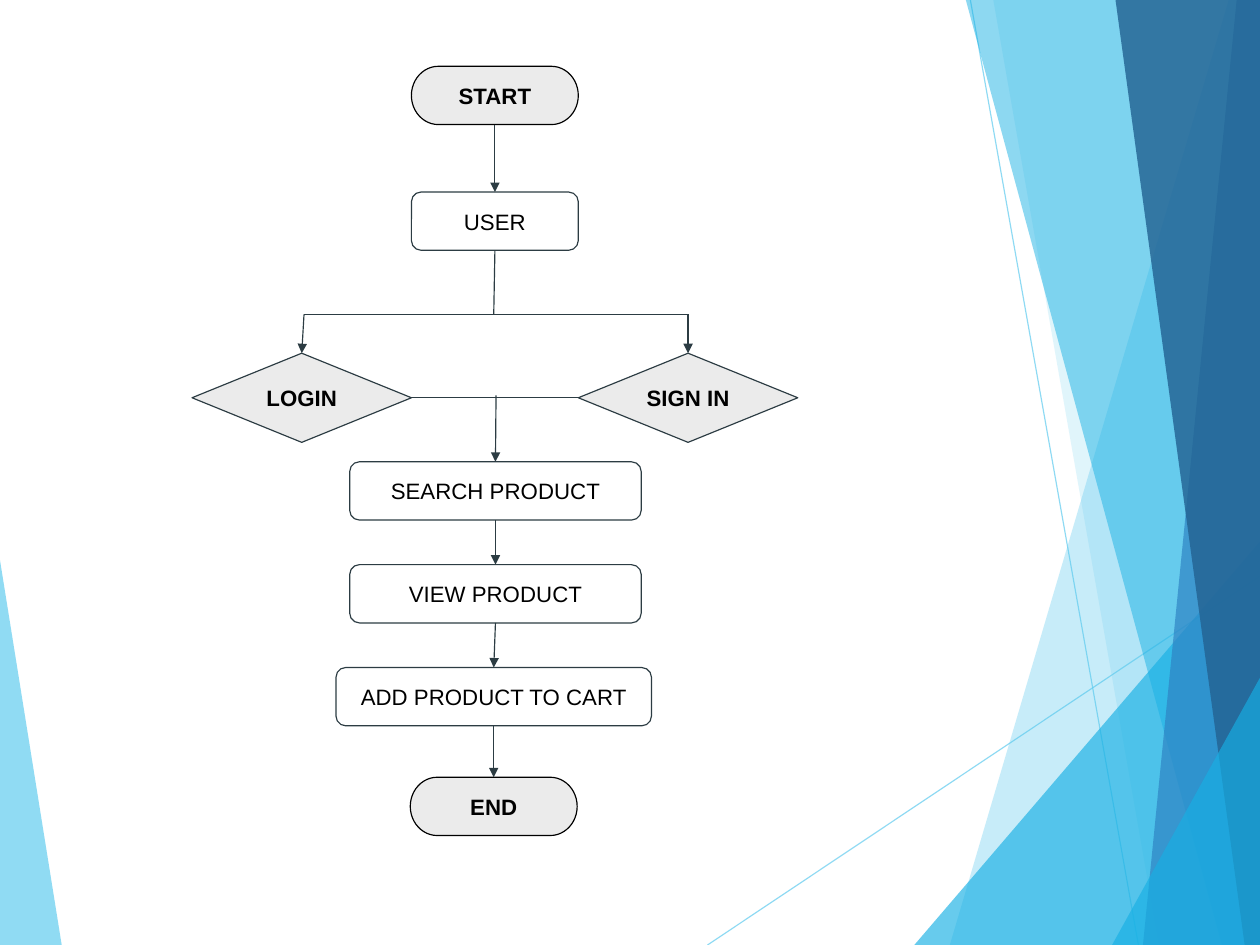
from lxml import etree
from pptx import Presentation
from pptx.dml.color import RGBColor
from pptx.enum.shapes import MSO_CONNECTOR, MSO_SHAPE
from pptx.enum.text import MSO_ANCHOR, PP_ALIGN
from pptx.oxml.ns import qn
from pptx.util import Inches, Pt

LINE = MSO_CONNECTOR.STRAIGHT
BOX = MSO_SHAPE.ROUNDED_RECTANGLE
PILL = MSO_SHAPE.FLOWCHART_TERMINATOR
DIAMOND = MSO_SHAPE.FLOWCHART_DECISION
MIDDLE = MSO_ANCHOR.MIDDLE
CENTER = PP_ALIGN.CENTER
TOP, LEFT, BOTTOM, RIGHT = range(4)

# The slide is 28 by 21 cm
WIDE, HIGH = 28 / 2.54, 21 / 2.54
INK, BLACK, WHITE, GREY = "2C3C43", "000000", "FFFFFF", "EBEBEB"
SKY, CYAN, BLUE, NAVY = "5FCBEF", "17B0E4", "2E83C3", "236292"

# Corner points, colour and opacity in percent, from back to front
FACETS = [
    ([(0, 4.9), (0.54, HIGH), (0, HIGH)], SKY, 69),
    ([(10.75, 0), (8.31, HIGH), (WIDE, HIGH), (WIDE, 0)], SKY, 35),
    ([(8.69, 0), (10.14, HIGH), (WIDE, HIGH), (WIDE, 0)], SKY, 19),
    ([(8, HIGH), (WIDE, 4.74), (WIDE, HIGH)], CYAN, 65),
    ([(8.45, 0), (10.69, HIGH), (WIDE, HIGH), (WIDE, 0)], CYAN, 49),
    ([(10.82, 0), (10, HIGH), (WIDE, HIGH), (WIDE, 0)], BLUE, 69),
    ([(9.76, 0), (10.89, HIGH), (WIDE, HIGH), (WIDE, 0)], NAVY, 81),
    ([(9.73, HIGH), (WIDE, 5.93), (WIDE, HIGH)], CYAN, 65),
]
RAYS = [((6.19, HIGH), (WIDE, 5.04)), ((8.49, 0), (9.96, HIGH))]


def paint(target, color, alpha=100):
    """Colour a fill or a line, see-through when alpha is below 100."""
    fill = getattr(target, "fill", target)
    fill.solid()
    fill.fore_color.rgb = RGBColor.from_string(color)
    if alpha < 100:
        tint = fill._xPr.find(".//" + qn("a:srgbClr"))
        etree.SubElement(tint, qn("a:alpha"), val=str(alpha * 1000))


def add_facet(slide, points, color, alpha):
    spots = [(Inches(x), Inches(y)) for x, y in points]
    pen = slide.shapes.build_freeform(*spots[0])
    pen.add_line_segments(spots[1:], close=True)
    facet = pen.convert_to_shape()
    facet.shadow.inherit = False
    paint(facet.fill, color, alpha)
    facet.line.fill.background()


def add_line(slide, start, end, color=INK, alpha=100, arrow=False):
    """Each end is a point (x, y) or a joint (shape, side)."""
    ends = [(0, 0) if hasattr(e[0], "shape_id") else e for e in (start, end)]
    line = slide.shapes.add_connector(
        LINE, *[Inches(v) for spot in ends for v in spot])
    if hasattr(start[0], "shape_id"):
        line.begin_connect(*start)
    if hasattr(end[0], "shape_id"):
        line.end_connect(*end)
    paint(line.line, color, alpha)
    line.line.width = Pt(0.75)
    if arrow:
        etree.SubElement(line.line._ln, qn("a:tailEnd"), type="triangle")
    etree.SubElement(line._element.spPr, qn("a:effectLst"))


def add_node(slide, kind, text, left, top, width, height=0.51):
    node = slide.shapes.add_shape(
        kind, Inches(left), Inches(top), Inches(width), Inches(height))
    node.shadow.inherit = False
    paint(node.fill, WHITE if kind == BOX else GREY)
    paint(node.line, BLACK if kind == PILL else INK)
    node.line.width = Pt(0.75)
    frame = node.text_frame
    frame.word_wrap = True
    frame.vertical_anchor = MIDDLE
    frame.margin_left = frame.margin_right = Inches(0.1)
    frame.margin_top = frame.margin_bottom = Inches(0.1)
    para = frame.paragraphs[0]
    para.text = text
    para.alignment = CENTER
    para.font.name = "Arial"
    para.font.size = Pt(14)
    para.font.bold = kind != BOX
    para.font.color.rgb = RGBColor.from_string(BLACK)
    return node


def add_backdrop(slide):
    add_facet(slide, *FACETS[0])
    for start, end in RAYS:
        add_line(slide, start, end, SKY, 69)
    for facet in FACETS[1:]:
        add_facet(slide, *facet)


def add_flow(slide):
    # Steps
    start = add_node(slide, PILL, "START", 3.6, 0.58, 1.46)
    user = add_node(slide, BOX, "USER", 3.6, 1.68, 1.46)
    login = add_node(slide, DIAMOND, "LOGIN", 1.68, 3.09, 1.92, 0.78)
    sign = add_node(slide, DIAMOND, "SIGN IN", 5.06, 3.09, 1.92, 0.78)
    search = add_node(slide, BOX, "SEARCH PRODUCT", 3.06, 4.04, 2.55)
    view = add_node(slide, BOX, "VIEW PRODUCT", 3.06, 4.94, 2.55)
    cart = add_node(slide, BOX, "ADD PRODUCT TO CART", 2.94, 5.84, 2.76)
    end = add_node(slide, PILL, "END", 3.59, 6.8, 1.46)

    # Straight steps down
    for upper, lower in [(start, user), (search, view),
                         (view, cart), (cart, end)]:
        add_line(slide, (upper, BOTTOM), (lower, TOP), arrow=True)

    # Fork from the user to both choices
    fork = 2.75
    add_line(slide, (user, BOTTOM), (4.32, fork))
    add_line(slide, (2.66, fork), (6.02, fork))
    for x, choice in [(2.66, login), (6.02, sign)]:
        add_line(slide, (x, fork), (choice, TOP), arrow=True)

    # Both choices meet again
    add_line(slide, (login, RIGHT), (sign, LEFT))
    add_line(slide, (4.34, 3.46), (search, TOP), arrow=True)


def main():
    deck = Presentation()
    deck.slide_width = Inches(WIDE)
    deck.slide_height = Inches(HIGH)
    slide = deck.slides.add_slide(deck.slide_layouts[6])
    add_backdrop(slide)
    add_flow(slide)
    deck.save("out.pptx")


if __name__ == "__main__":
    main()
